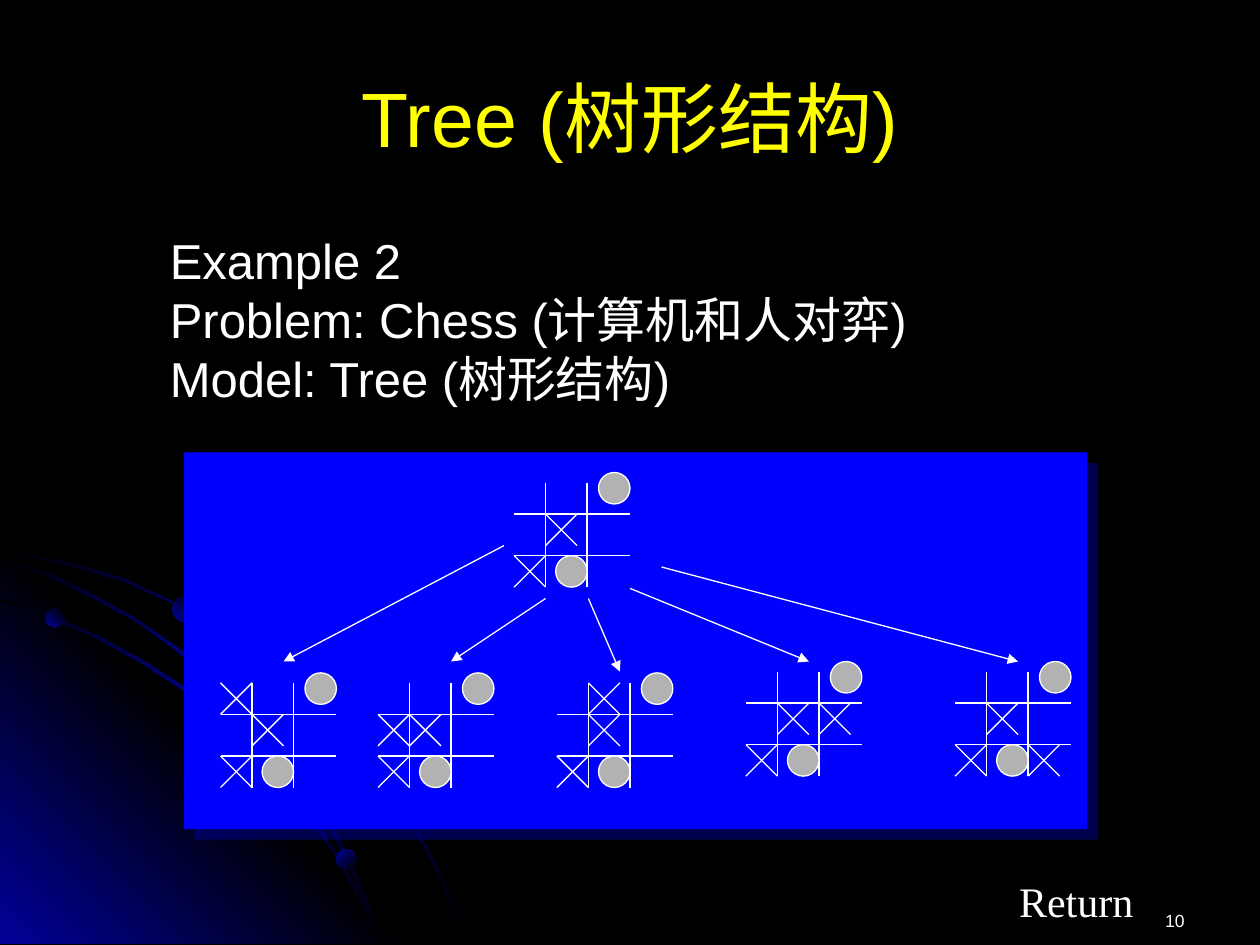
from dataclasses import dataclass

from lxml import etree
from pptx import Presentation
from pptx import util as u
from pptx.dml.color import RGBColor
from pptx.enum import shapes, text
from pptx.oxml import parse_xml
from pptx.oxml.ns import nsdecls, qn

COLORS = {
    "black": "000000", "navy": "010199", "panel": "0000FF",
    "white": "FFFFFF", "title": "FFFF00", "disc": "B2B2B2",
}
FADE = ("black", "navy", "black")
MARK = 0.25                 # side of a cross or disc
CELLS = (0, 0.25, 0.58)     # offsets of the rows and columns
BOARD_W, BOARD_H = 0.92, 0.83


@dataclass(frozen=True)
class Outline:
    points: list[tuple[float, float]]
    stops: tuple[str, ...]
    angle: int


@dataclass(frozen=True)
class Ball:
    x: float
    y: float
    size: float
    angle: int


@dataclass(frozen=True)
class Board:
    x: float
    y: float
    extra: tuple[int, int] | None = None    # column, row of the added cross


@dataclass(frozen=True)
class Label:
    lines: tuple[str, ...]
    box: tuple[float, float, float, float]
    size: int
    color: str = "white"
    font: str = "Arial"
    align: text.PP_ALIGN = text.PP_ALIGN.LEFT
    anchor: text.MSO_ANCHOR = text.MSO_ANCHOR.TOP


OUTLINES = [
    Outline([(0.57, 4.47), (0.28, 4.41), (0, 4.35), (0, 4.38), (0.28, 4.43), (0.56, 4.49),
             (0.97, 4.61), (1.35, 4.78), (1.73, 4.99), (2.08, 5.23), (2.41, 5.49),
             (2.71, 5.79), (2.98, 6.12), (3.23, 6.49), (3.37, 6.73), (3.5, 6.98),
             (3.6, 7.23), (3.7, 7.49), (3.72, 7.49), (3.62, 7.23), (3.52, 6.98),
             (3.39, 6.73), (3.25, 6.48), (3, 6.11), (2.72, 5.78), (2.42, 5.48),
             (2.09, 5.21), (1.74, 4.97), (1.36, 4.77), (0.98, 4.59)], FADE, 45),
    Outline([(3.22, 7.49), (0, 7.49), (0, 4.27)], ("navy", "black", "navy"), 315),
    Outline([(2.85, 7.14), (2.94, 7.32), (3.01, 7.49), (3.03, 7.49), (2.96, 7.3),
             (2.86, 7.12), (2.66, 6.76), (2.42, 6.4), (2.15, 6.06), (1.84, 5.76),
             (1.52, 5.49), (1.17, 5.26), (0.79, 5.05), (0.41, 4.88), (0, 4.75),
             (0, 4.77), (0.39, 4.9), (0.77, 5.07), (1.15, 5.28), (1.5, 5.51),
             (1.83, 5.78), (2.13, 6.08), (2.4, 6.42), (2.65, 6.77)], FADE, 45),
    Outline([(0, 4.42), (0, 4.44), (0.36, 4.57), (0.74, 4.75), (1.09, 4.94), (1.42, 5.18),
             (1.73, 5.44), (2.02, 5.75), (2.27, 6.05), (2.52, 6.41), (2.67, 6.67),
             (2.8, 6.94), (2.92, 7.22), (3.01, 7.49), (3.03, 7.49), (2.94, 7.2),
             (2.82, 6.93), (2.69, 6.65), (2.54, 6.39), (2.29, 6.03), (2.04, 5.73),
             (1.75, 5.43), (1.44, 5.16), (1.11, 4.93), (0.76, 4.73), (0.39, 4.55)], FADE, 45),
]
BALLS = [Ball(0.36, 4.83, 0.15, 315), Ball(2.67, 6.74, 0.16, 45), Ball(1.37, 4.73, 0.21, 315)]
BOARDS = [
    Board(4.08, 3.83),
    Board(1.75, 5.42, (0, 0)), Board(3, 5.42, (0, 1)), Board(4.42, 5.42, (1, 0)),
    Board(5.92, 5.33, (2, 1)), Board(7.58, 5.33, (2, 2)),
]
ARROWS = [
    (4, 4.33, 2.25, 5.25), (4.33, 4.75, 3.58, 5.25), (4.67, 4.75, 4.92, 5.33),
    (5, 4.67, 6.42, 5.25), (5.25, 4.5, 8.08, 5.25),
]
LABELS = [
    Label(("Tree (树形结构)",), (0.5, 0.3, 9, 1.25), 44, "title",
          align=text.PP_ALIGN.CENTER, anchor=text.MSO_ANCHOR.MIDDLE),
    Label(("Example 2", "Problem: Chess (计算机和人对弈)", "Model: Tree (树形结构)"),
          (1.25, 1.78, 7.43, 1.97), 28),
    Label(("Return",), (7.99, 6.9, 1.2, 0.5), 24, font="Times New Roman"),
    Label(("10",), (7.17, 7.17, 2.33, 0.26), 10, align=text.PP_ALIGN.RIGHT),
]


def rgb(name: str) -> RGBColor:
    return RGBColor.from_string(COLORS[name])


def fill_gradient(sp, stops: tuple[str, ...], angle: int) -> None:
    sp.shadow.inherit = False
    sp.line.fill.background()
    sp.fill.gradient()
    step = 100000 // (len(stops) - 1)
    gs = "".join(f'<a:gs pos="{i * step}"><a:srgbClr val="{COLORS[c]}"/></a:gs>'
                 for i, c in enumerate(stops))
    old = sp._element.spPr.find(qn("a:gradFill"))
    old.getparent().replace(old, parse_xml(
        f'<a:gradFill {nsdecls("a")} rotWithShape="1"><a:gsLst>{gs}</a:gsLst>'
        f'<a:lin ang="{angle * 60000}" scaled="0"/></a:gradFill>'))


def add_outline(s, outline: Outline) -> None:
    first, *rest = [(u.Inches(x), u.Inches(y)) for x, y in outline.points]
    builder = s.shapes.build_freeform(*first)
    builder.add_line_segments(rest, close=True)
    fill_gradient(builder.convert_to_shape(), outline.stops, outline.angle)


def add_preset(s, kind, x: float, y: float, w: float, h: float):
    sp = s.shapes.add_shape(kind, *map(u.Inches, (x, y, w, h)))
    sp.shadow.inherit = False
    return sp


def add_panel(s) -> None:
    sp = add_preset(s, shapes.MSO_SHAPE.RECTANGLE, 1.46, 3.59, 7.17, 2.99)
    sp.fill.solid()
    sp.fill.fore_color.rgb = rgb("panel")
    sp.line.fill.background()
    sp._element.spPr.find(qn("a:effectLst")).append(parse_xml(
        f'<a:outerShdw {nsdecls("a")} dist="{u.Pt(8.5)}" dir="{45 * 60000}" algn="ctr" '
        f'rotWithShape="0"><a:srgbClr val="{COLORS["navy"]}"><a:alpha val="50000"/>'
        '</a:srgbClr></a:outerShdw>'))


def add_line(s, x1: float, y1: float, x2: float, y2: float, arrow: bool = False) -> None:
    line = s.shapes.add_connector(shapes.MSO_CONNECTOR.STRAIGHT,
                                  *map(u.Inches, (x1, y1, x2, y2)))
    line.line.color.rgb = rgb("white")
    line.line.width = u.Pt(0.75)
    props = line._element.spPr
    if arrow:
        etree.SubElement(props.find(qn("a:ln")), qn("a:tailEnd"), type="triangle")
    etree.SubElement(props, qn("a:effectLst"))


def add_disc(s, x: float, y: float) -> None:
    sp = add_preset(s, shapes.MSO_SHAPE.OVAL, x, y, MARK, MARK)
    sp.fill.solid()
    sp.fill.fore_color.rgb = rgb("disc")
    sp.line.color.rgb = rgb("white")
    sp.line.width = u.Pt(0.75)


def add_board(s, b: Board) -> None:
    for d in CELLS[1:]:
        add_line(s, b.x, b.y + d, b.x + BOARD_W, b.y + d)
        add_line(s, b.x + d, b.y, b.x + d, b.y + BOARD_H)
    for col, row in [(0, 2), (1, 1)] + ([b.extra] if b.extra else []):
        x, y = b.x + CELLS[col], b.y + CELLS[row]
        add_line(s, x, y, x + MARK, y + MARK)
        add_line(s, x + MARK, y, x, y + MARK)
    add_disc(s, b.x + 0.33, b.y + 0.58)
    add_disc(s, b.x + 0.67, b.y - 0.08)


def add_label(s, label: Label) -> None:
    tf = s.shapes.add_textbox(*map(u.Inches, label.box)).text_frame
    tf.word_wrap = True
    tf.vertical_anchor = label.anchor
    tf.text = "\n".join(label.lines)
    for p in tf.paragraphs:
        p.alignment = label.align
        p.font.size = u.Pt(label.size)
        p.font.name = label.font
        p.font.color.rgb = rgb(label.color)


def main() -> None:
    prs = Presentation()
    prs.slide_width, prs.slide_height = u.Inches(10), u.Inches(7.5)
    s = prs.slides.add_slide(prs.slide_layouts[6])
    s.background.fill.solid()
    s.background.fill.fore_color.rgb = rgb("black")

    # Corner decoration
    for outline in OUTLINES:
        add_outline(s, outline)
    for ball in BALLS:
        sp = add_preset(s, shapes.MSO_SHAPE.OVAL, ball.x, ball.y, ball.size, ball.size)
        fill_gradient(sp, ("navy", "black"), ball.angle)

    # Game tree
    add_panel(s)
    for board in BOARDS:
        add_board(s, board)
    for arrow in ARROWS:
        add_line(s, *arrow, arrow=True)

    # Title, body, return label and page number
    for label in LABELS:
        add_label(s, label)

    prs.save("out.pptx")


if __name__ == "__main__":
    main()
